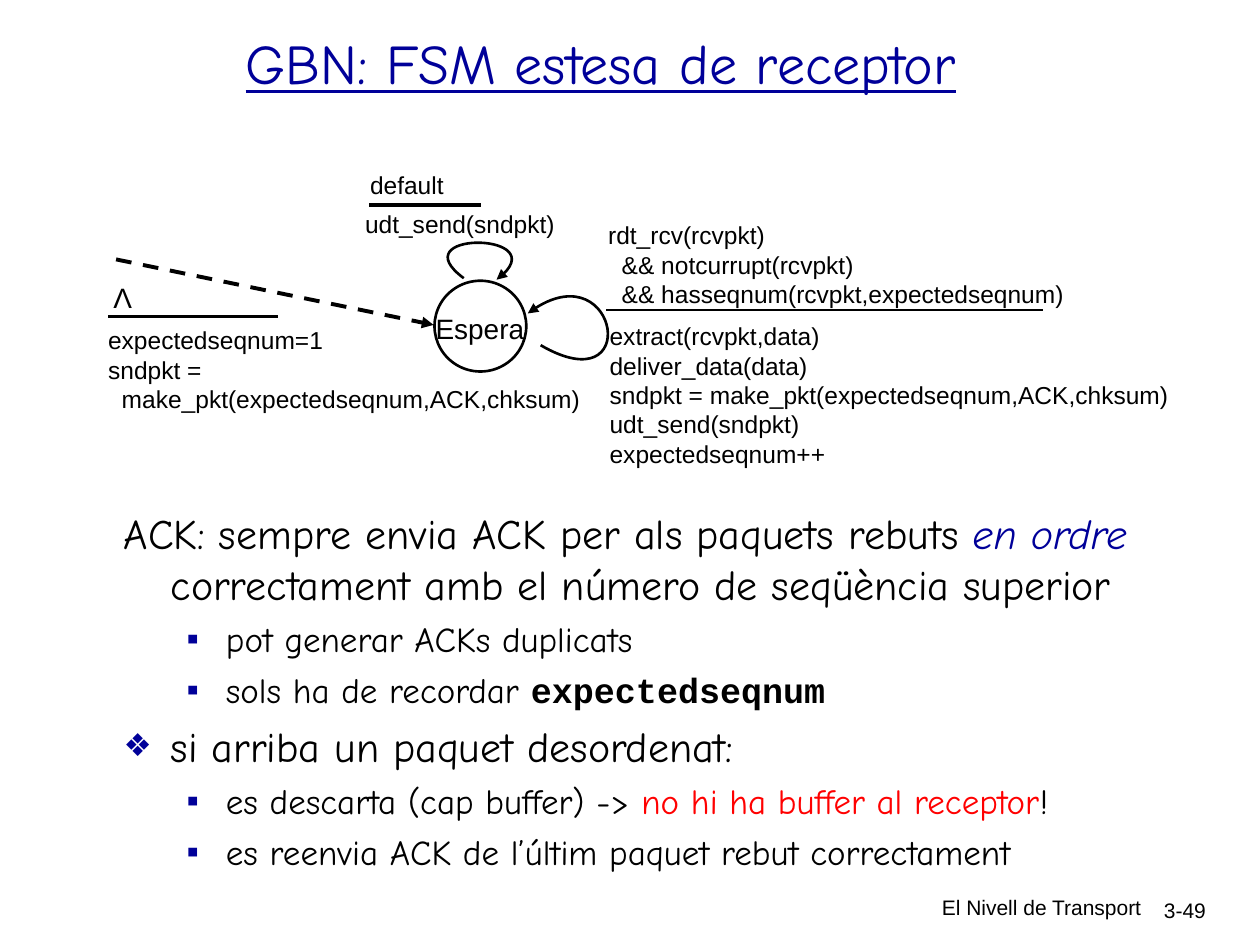
from lxml.etree import SubElement
from pptx import Presentation
from pptx.dml.color import RGBColor
from pptx.enum.dml import MSO_LINE
from pptx.enum.shapes import MSO_CONNECTOR, MSO_SHAPE
from pptx.enum.text import MSO_ANCHOR, MSO_AUTO_SIZE, PP_ALIGN
from pptx.oxml.ns import qn
from pptx.util import Cm, Pt

HUES = {"ink": "000000", "blue": "000099", "red": "FF0000", "paper": "FFFFFF"}
LEVELS = [
    {"size": 24, "left": 0.95, "hang": 0.95, "gap": 6},
    {"size": 20, "left": 2.06, "hang": 0.79, "gap": 5},
]


def hue(name):
    return RGBColor.from_string(HUES[name])


def style(font, color="ink", **values):
    for key, value in values.items():
        setattr(font, key, value)
    font.color.rgb = hue(color)


def place(shape, box):
    for key, value in zip(("left", "top", "width", "height"), box):
        setattr(shape, key, Cm(value))


def label(slide, box, lines, size=14, align=PP_ALIGN.LEFT, wrap=True):
    frame = slide.shapes.add_textbox(*map(Cm, box)).text_frame
    frame.word_wrap = wrap
    for num, line in enumerate(lines):
        para = frame.add_paragraph() if num else frame.paragraphs[0]
        para.alignment = align
        run = para.add_run()
        run.text = line
        style(run.font, name="Arial", size=Pt(size))


def stroke(shape, width):
    shape.line.color.rgb = hue("ink")
    shape.line.width = Pt(width)


def arrow(shape):
    SubElement(shape.line._get_or_add_ln(), qn("a:tailEnd"), type="triangle")


def rule(slide, start, end, width):
    line = slide.shapes.add_connector(MSO_CONNECTOR.STRAIGHT, *map(Cm, start + end))
    stroke(line, width)
    SubElement(line._element.spPr, qn("a:effectLst"))
    return line


def loop(slide, points):
    """Draw one cubic curve, given as start, two handles and end."""
    start, *rest = [(Cm(x), Cm(y)) for x, y in points]
    maker = slide.shapes.build_freeform(*start)
    maker.add_line_segments(rest, close=False)
    curve = maker.convert_to_shape()
    # Turn the three straight legs into one Bezier segment
    legs = list(curve._element.iter(qn("a:lnTo")))
    bend = SubElement(legs[0].getparent(), qn("a:cubicBezTo"))
    for leg in legs:
        bend.append(leg[0])
        leg.getparent().remove(leg)
    curve.fill.background()
    curve.shadow.inherit = False
    stroke(curve, 1.5)
    arrow(curve)


def heading(slide, box):
    title = slide.shapes.title
    place(title, box)
    frame = title.text_frame
    frame.auto_size = MSO_AUTO_SIZE.NONE
    frame.vertical_anchor = MSO_ANCHOR.MIDDLE
    para = frame.paragraphs[0]
    para.alignment = PP_ALIGN.CENTER
    run = para.add_run()
    run.text = "GBN: FSM estesa de receptor"
    style(run.font, "blue", name="Comic Neue", size=Pt(32), underline=True)


def machine(slide, left, top):
    def at(x, y, *size):
        return (left + x, top + y, *size)

    # State
    state = slide.shapes.add_shape(MSO_SHAPE.OVAL, *map(Cm, at(6.86, 2.36, 1.85, 1.83)))
    state.fill.solid()
    state.fill.fore_color.rgb = hue("paper")
    state.shadow.inherit = False
    stroke(state, 1.5)
    label(slide, at(6.48, 2.85, 2.59, 0.74), ["Espera"], 16, PP_ALIGN.CENTER)

    # Transitions
    entry = rule(slide, at(0.44, 1.93), at(6.84, 3.25), 2.25)
    entry.line.dash_style = MSO_LINE.DASH
    arrow(entry)
    for points in (
        [(9, 3.66), (11.05, 4.85), (10.55, 1.65), (8.74, 3.02)],
        [(7.45, 2.31), (6.18, 1.37), (9.4, 1.37), (8.11, 2.34)],
    ):
        loop(slide, [at(x, y) for x, y in points])

    # Rules between events and actions
    for x, y, length, width in (
        (5.54, 0.84, 2.26, 2.25),
        (10.32, 2.95, 8.81, 1.5),
        (0.28, 3.08, 3.43, 2.25),
    ):
        rule(slide, at(x, y), at(x + length, y), width)

    # Events and actions
    for box, lines in (
        ((5.31, 0, 2.01, 0.69), ["default"]),
        ((5.21, 0.79, 4.5, 0.86), ["udt_send(sndpkt)"]),
        ((10.11, 1.02, 9.91, 1.57), [
            "rdt_rcv(rcvpkt)",
            "  && notcurrupt(rcvpkt)",
            "  && hasseqnum(rcvpkt,expectedseqnum)"]),
        ((10.14, 3.05, 11.99, 2.39), [
            "extract(rcvpkt,data)",
            "deliver_data(data)",
            "sndpkt = make_pkt(expectedseqnum,ACK,chksum)",
            "udt_send(sndpkt)",
            "expectedseqnum++"]),
        ((0.03, 3.13, 10.11, 2.72), [
            "expectedseqnum=1",
            "sndpkt =",
            "  make_pkt(expectedseqnum,ACK,chksum)"]),
    ):
        label(slide, at(*box), lines)
    label(slide, at(0.13, 2.24, 0.89, 0.94), ["Λ"], 16, PP_ALIGN.CENTER, False)


def bullet(para, level, mark):
    props = para._p.get_or_add_pPr()
    props.set("marL", str(Cm(level["left"])))
    props.set("indent", str(-Cm(level["hang"])))
    if not mark:
        SubElement(props, qn("a:buNone"))
        return
    tint = SubElement(props, qn("a:buClr"))
    SubElement(tint, qn("a:srgbClr"), val=HUES["blue"])
    if mark == "❖":
        SubElement(props, qn("a:buSzPct"), val="75000")
    SubElement(props, qn("a:buChar"), char=mark)


def notes(slide, box):
    body = slide.placeholders[1]
    place(body, box)
    frame = body.text_frame
    frame.auto_size = MSO_AUTO_SIZE.NONE
    code = {"name": "Courier New", "bold": True}
    items = [
        (0, "", [("ACK: sempre envia ACK per als paquets rebuts ", {}),
                 ("en ordre ", {"color": "blue", "italic": True}),
                 ("correctament amb el número de seqüència superior", {})]),
        (1, "▪", [("pot generar ACKs duplicats", {})]),
        (1, "▪", [("sols ha de recordar ", {}), ("expectedseqnum", code)]),
        (0, "❖", [("si arriba un paquet desordenat:", {})]),
        (1, "▪", [("es descarta (cap buffer) -> ", {}),
                  ("no hi ha buffer al receptor", {"color": "red"}), ("!", {})]),
        (1, "▪", [("es reenvia ACK de l’últim paquet rebut correctament", {})]),
    ]
    for num, (depth, mark, parts) in enumerate(items):
        level = LEVELS[depth]
        para = frame.add_paragraph() if num else frame.paragraphs[0]
        para.level = depth
        bullet(para, level, mark)
        para.space_before = Pt(level["gap"] if num else 0)
        for text, extra in parts:
            run = para.add_run()
            run.text = text
            style(run.font, **{"name": "Comic Neue", "size": Pt(level["size"]), **extra})


def footer(slide, left, top):
    label(slide, (left, top, 8.05, 0.79), ["El Nivell de Transport"], 12, PP_ALIGN.RIGHT)
    label(slide, (left + 7.47, top + 0.05, 1.88, 0.76), ["3-49"], 12, PP_ALIGN.RIGHT)


def main():
    deck = Presentation()
    deck.slide_width, deck.slide_height = Cm(25.4), Cm(19.05)
    slide = deck.slides.add_slide(deck.slide_layouts[1])
    heading(slide, (1.32, 0, 21.59, 2.49))
    machine(slide, 1.9, 3.3)
    notes(slide, (2.24, 10.11, 22.63, 7.92))
    footer(slide, 15.21, 17.91)
    deck.save("out.pptx")


if __name__ == "__main__":
    main()
